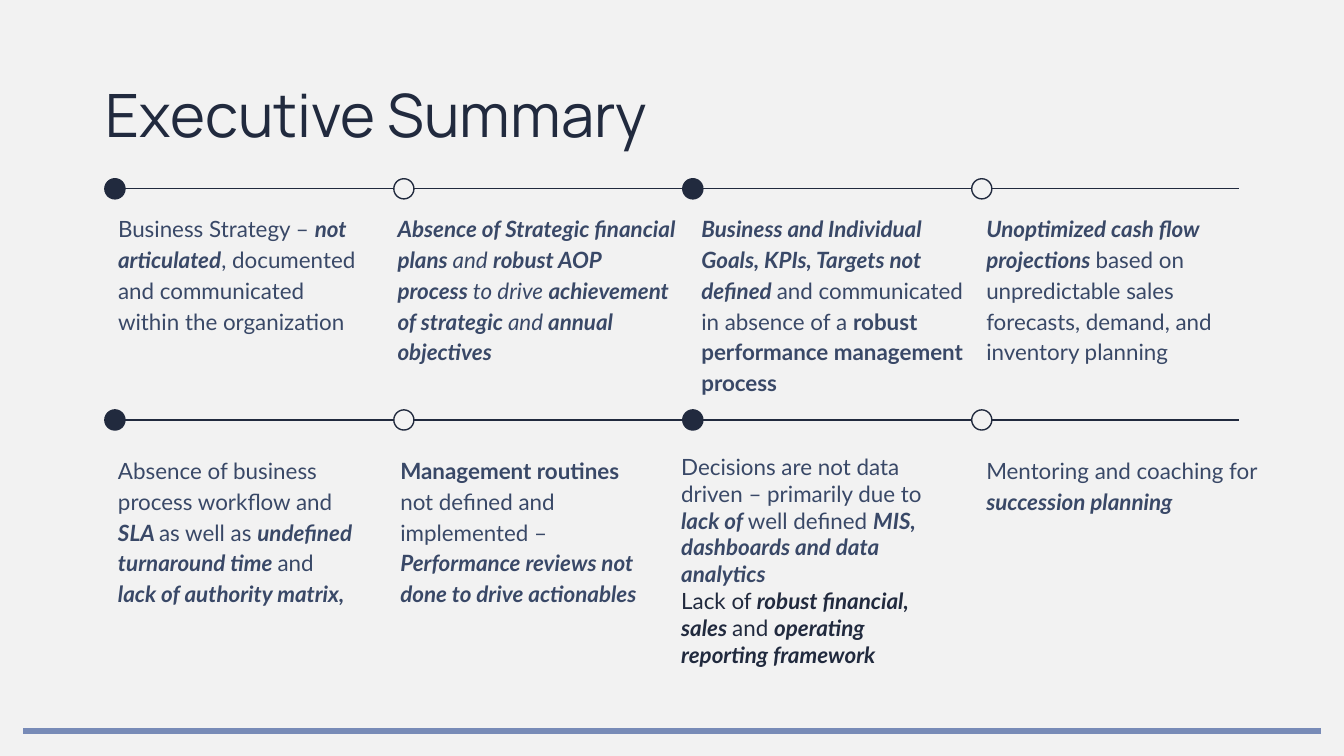
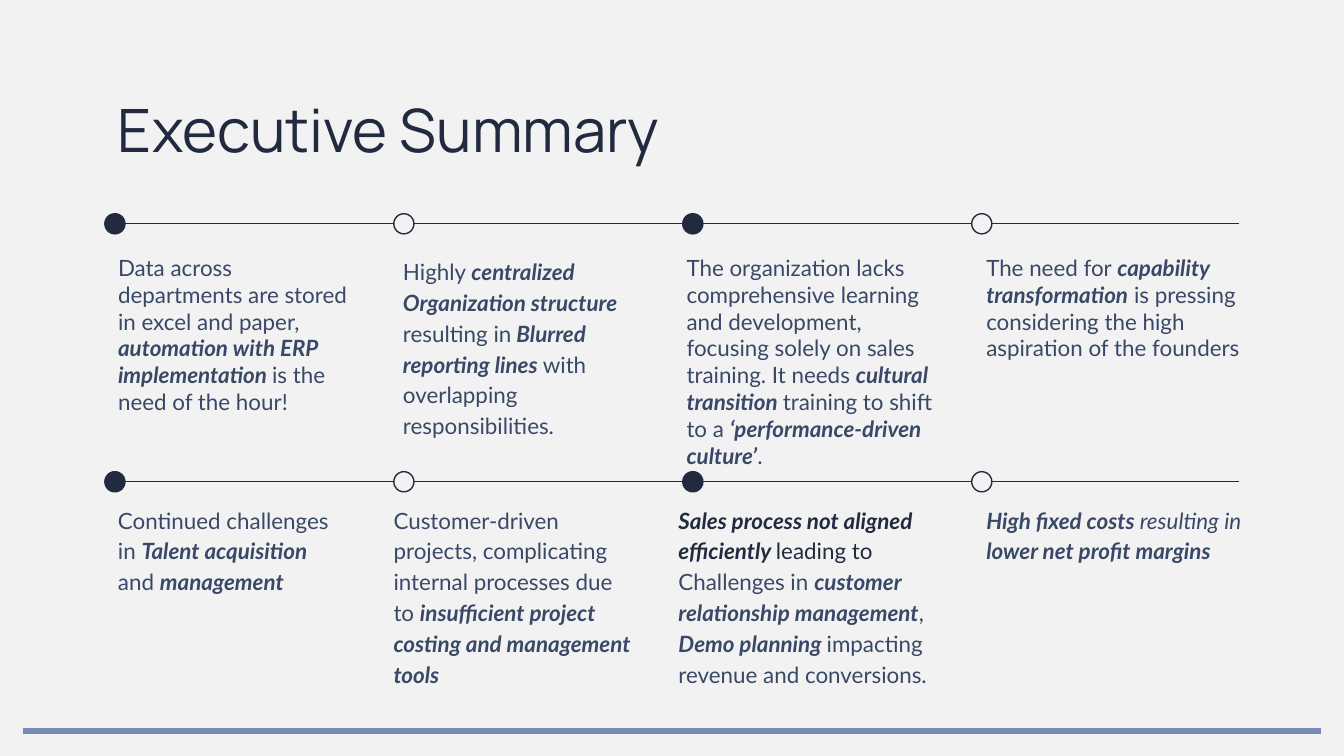
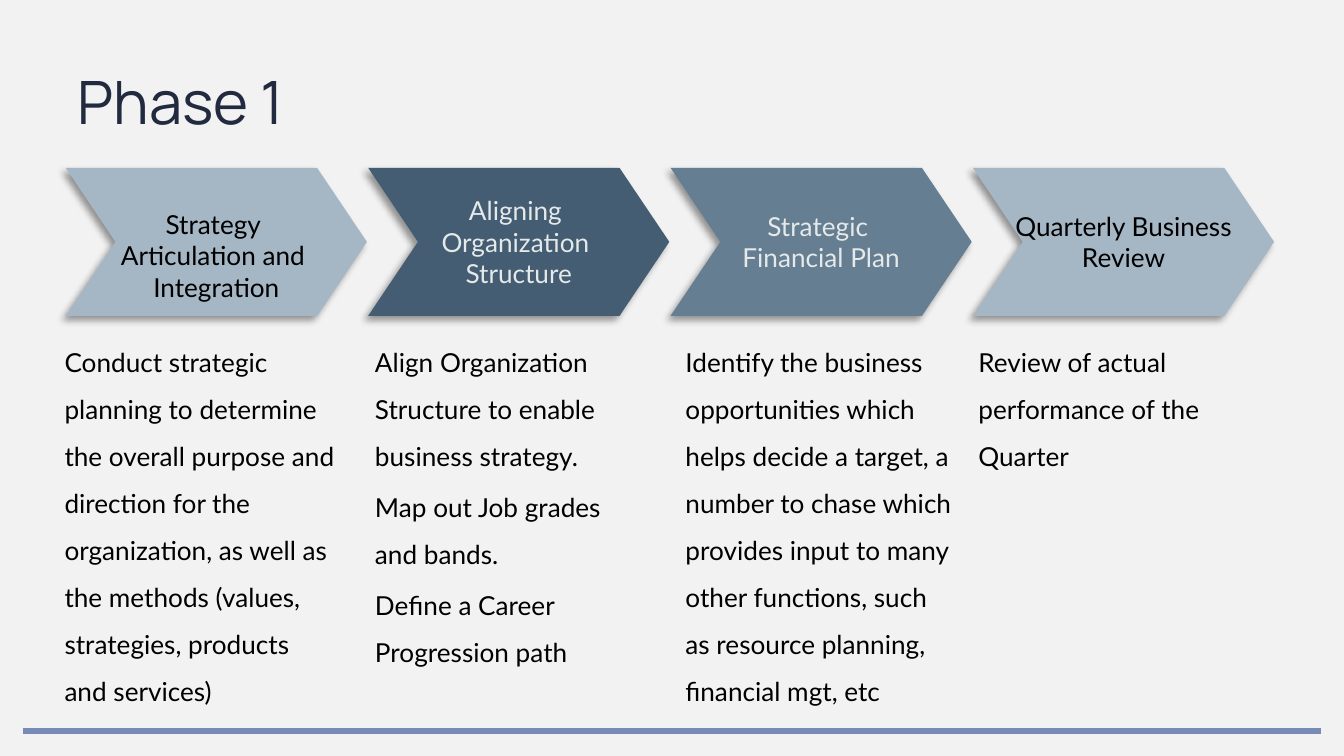
from lxml import etree
from pptx import Presentation
from pptx.dml.color import RGBColor
from pptx.enum.shapes import MSO_CONNECTOR as LINE, MSO_SHAPE as SHAPE
from pptx.enum.text import MSO_ANCHOR as ANCHOR, PP_ALIGN as ALIGN
from pptx.oxml.ns import qn
from pptx.util import Inches, Pt

NAVY, SLATE, BLACK, PALE = "212A3E", "394867", "000000", "E5E9E9"
BACKGROUND, FOOTER = "F2F2F2", "788BB7"

# Span formats
TITLE = {"name": "Manrope", "size": Pt(32), "color": NAVY}
PLAIN = {"name": "Lato", "size": Pt(12), "color": SLATE, "bold": False, "italic": False}
BOLD = {**PLAIN, "bold": True}
ITALIC = {**PLAIN, "italic": True}
BOTH = {**BOLD, "italic": True}
DARK = {**PLAIN, "color": NAVY}
DARK_BOTH = {**BOTH, "color": NAVY}
LARGE = {"name": "Lato", "size": Pt(14), "color": BLACK}
LARGE_PALE = {**LARGE, "color": PALE}

# Paragraph formats
SINGLE = {"line_spacing": 1.0}
LOOSE = {"line_spacing": 1.15}
CENTRED = {"alignment": ALIGN.CENTER}
COLUMN = {"line_spacing": 1.5, "space_after": Pt(2.1)}

# Timeline and chevron grids
DOT_LEFT, DOT_PITCH, DOT_SIZE, LINE_END = 0.78, 2.15, 0.15, 9.22
CHEVRON_LEFT, CHEVRON_PITCH, CHEVRON_TOP = 0.49, 2.25, 1.25
CHEVRON_WIDTH, CHEVRON_HEIGHT, CHEVRON_NOTCH = 2.24, 1.1, 0.37

# Each row: dot top, text top, then cells of left, width, paragraph format, paragraphs
FINDINGS = [
    (1.33, 1.47, [
        (0.78, 2.01, LOOSE, [[
            ("Business Strategy – ", PLAIN), ("not articulated", BOTH),
            (", documented and communicated within the organization", PLAIN)]]),
        (2.86, 2.27, LOOSE, [[
            ("Absence of Strategic financial plans ", BOTH), ("and ", ITALIC),
            ("robust AOP process ", BOTH), ("to drive ", ITALIC),
            ("achievement of strategic ", BOTH), ("and", ITALIC),
            (" annual objectives", BOTH)]]),
        (5.12, 2.16, LOOSE, [[
            ("Business and Individual Goals, KPIs, Targets not defined ", BOTH),
            ("and communicated in absence of a ", PLAIN),
            ("robust performance management process", BOLD)]]),
        (7.24, 2.26, LOOSE, [[
            ("Unoptimized cash flow projections ", BOTH),
            ("based on unpredictable sales forecasts, demand, and inventory planning", PLAIN)]]),
    ]),
    (3.05, 3.27, [
        (0.78, 1.97, LOOSE, [[
            ("Absence of business process workflow and ", PLAIN), ("SLA ", BOTH),
            ("as well as ", PLAIN), ("undefined turnaround time ", BOTH),
            ("and", PLAIN), (" lack of authority matrix,", BOTH)]]),
        (2.88, 1.98, LOOSE, [[
            ("Management routines ", BOLD), ("not defined and implemented – ", PLAIN),
            ("Performance reviews not done to drive actionables", BOTH)]]),
        (4.97, 2.15, SINGLE, [
            [("Decisions are not data driven – primarily due to ", PLAIN),
             ("lack of ", BOTH), ("well defined ", PLAIN),
             ("MIS, dashboards and data analytics", BOTH)],
            [("Lack of", DARK), (" robust financial, sales ", DARK_BOTH),
             ("and ", DARK), ("operating reporting framework", DARK_BOTH)]]),
        (7.24, 2.26, LOOSE, [[
            ("Mentoring and coaching for ", PLAIN), ("succession planning", BOTH)]]),
    ]),
]

MORE_FINDINGS = [
    (1.59, 1.79, [
        (0.78, 1.98, SINGLE, [[
            ("Data across departments are stored in excel and paper, ", PLAIN),
            ("automation with ERP implementation ", BOTH),
            ("is the need of the hour!", PLAIN)]]),
        (2.9, 1.98, LOOSE, [[
            ("Highly ", PLAIN), ("centralized Organization structure ", BOTH),
            ("resulting in", PLAIN), (" Blurred reporting lines ", BOTH),
            ("with overlapping responsibilities.", PLAIN)]]),
        (5.01, 2.09, SINGLE, [[
            ("The organization lacks comprehensive learning and development, "
             "focusing solely on sales training. It needs ", PLAIN),
            ("cultural transition ", BOTH), ("training to shift to a ", PLAIN),
            ("‘performance-driven culture’", BOTH), (".", PLAIN)]]),
        (7.24, 2.26, SINGLE, [[
            ("The need for ", PLAIN), ("capability transformation", BOTH),
            (" is pressing considering the high aspiration of the founders", PLAIN)]]),
    ]),
    (3.51, 3.64, [
        (0.78, 1.9, LOOSE, [[
            ("Continued challenges in ", PLAIN), ("Talent acquisition ", BOTH),
            ("and ", PLAIN), ("management", BOTH)]]),
        (2.83, 1.98, LOOSE, [[
            ("Customer-driven projects, complicating internal processes due to ", PLAIN),
            ("insufficient project costing and management tools", BOTH)]]),
        (4.95, 2.3, LOOSE, [[
            ("Sales process not aligned efficiently ", DARK_BOTH), ("leading to ", DARK),
            ("Challenges in ", PLAIN), ("customer relationship management", BOTH),
            (", ", PLAIN), ("Demo planning ", BOTH),
            ("impacting revenue and conversions.", PLAIN)]]),
        (7.24, 2.36, LOOSE, [[
            ("High fixed costs ", BOTH), ("resulting in ", ITALIC),
            ("lower net profit margins", BOTH)]]),
    ]),
]

# Each step: fill, anchor, span format, heading lines
STEPS = [
    ("A5B7C5", ANCHOR.BOTTOM, LARGE, ["Strategy ", "Articulation and ", "Integration"]),
    ("445D73", ANCHOR.MIDDLE, LARGE_PALE, ["Aligning ", "Organization ", "Structure"]),
    ("667E92", ANCHOR.MIDDLE, LARGE_PALE, ["Strategic ", "Financial Plan"]),
    ("A5B7C5", ANCHOR.MIDDLE, LARGE, ["Quarterly Business Review"]),
]

# Each column: left, width, paragraphs
STEP_NOTES = [
    (0.48, 2.02, ["Conduct strategic planning to determine the overall purpose and direction "
                  "for the organization, as well as the methods (values, strategies, products "
                  "and services)"]),
    (2.79, 2.02, ["Align Organization Structure to enable business strategy.",
                  "Map out Job grades and bands.",
                  "Define a Career Progression path"]),
    (5.1, 2.02, ["Identify the business opportunities which helps decide a target, a number "
                 "to chase which provides input to many other functions, such as resource "
                 "planning, financial mgt, etc"]),
    (7.28, 2.24, ["Review of actual performance of the Quarter"]),
]


def rgb(value):
    return RGBColor.from_string(value)


def fill_text(shape, paragraphs, para_format, inset=0.1, anchor=ANCHOR.TOP):
    frame = shape.text_frame
    frame.word_wrap = True
    frame.vertical_anchor = anchor
    for side in ("left", "top", "right", "bottom"):
        setattr(frame, f"margin_{side}", Inches(inset))
    for index, spans in enumerate(paragraphs):
        para = frame.add_paragraph() if index else frame.paragraphs[0]
        for key, value in para_format.items():
            setattr(para, key, value)
        for text, style in spans:
            span = para.add_run()
            span.text = text
            for key, value in style.items():
                if key == "color":
                    span.font.color.rgb = rgb(value)
                else:
                    setattr(span.font, key, value)


def add_text(page, box, paragraphs, para_format, inset=0.1):
    shape = page.shapes.add_textbox(*map(Inches, box))
    fill_text(shape, paragraphs, para_format, inset)


def add_line(page, left, right, y, color, width):
    line = page.shapes.add_connector(LINE.STRAIGHT, *map(Inches, (left, y, right, y)))
    line.line.color.rgb = rgb(color)
    line.line.width = Pt(width)
    etree.SubElement(line._element.spPr, qn("a:effectLst"))


def add_page(deck, title, box):
    page = deck.slides.add_slide(deck.slide_layouts[6])
    add_line(page, 9.83, 0.17, 5.44, FOOTER, 3.5)
    add_text(page, box, [[(title, TITLE)]], SINGLE)
    return page


def add_timeline(page, top, count):
    for index in range(count):
        left = DOT_LEFT + index * DOT_PITCH
        dot = page.shapes.add_shape(
            SHAPE.OVAL, *map(Inches, (left, top, DOT_SIZE, DOT_SIZE)))
        dot.shadow.inherit = False
        dot.line.color.rgb = rgb(NAVY)
        dot.line.width = Pt(0.75)
        if index % 2:
            dot.fill.background()
        else:
            dot.fill.solid()
            dot.fill.fore_color.rgb = rgb(NAVY)
        end = LINE_END if index == count - 1 else left + DOT_PITCH
        add_line(page, left + DOT_SIZE, end, top + DOT_SIZE / 2, NAVY, 0.75)


def add_summary(deck, title_box, rows):
    page = add_page(deck, "Executive Summary", title_box)
    for dot_top, text_top, cells in rows:
        add_timeline(page, dot_top, len(cells))
        for left, width, para_format, paragraphs in cells:
            add_text(page, (left, text_top, width, 1), paragraphs, para_format)


def add_shadow(shape):
    shape.shadow.inherit = False
    effects = shape._element.spPr.find(qn("a:effectLst"))
    shadow = etree.SubElement(effects, qn("a:outerShdw"), blurRad=str(Pt(4)),
                              dist=str(Pt(3)), dir="8100000", algn="tr", rotWithShape="0")
    color = etree.SubElement(shadow, qn("a:srgbClr"), val=BLACK)
    etree.SubElement(color, qn("a:alpha"), val="40000")


def add_chevron(page, left, top, fill, anchor, style, lines):
    right, bottom = left + CHEVRON_WIDTH, top + CHEVRON_HEIGHT
    middle, shoulder = top + CHEVRON_HEIGHT / 2, right - CHEVRON_NOTCH
    outline = [(left + CHEVRON_NOTCH, middle), (left, bottom), (shoulder, bottom),
               (right, middle), (shoulder, top)]
    builder = page.shapes.build_freeform(Inches(left), Inches(top))
    builder.add_line_segments([(Inches(x), Inches(y)) for x, y in outline], close=True)
    chevron = builder.convert_to_shape()
    chevron.fill.solid()
    chevron.fill.fore_color.rgb = rgb(fill)
    chevron.line.fill.background()
    add_shadow(chevron)
    fill_text(chevron, [[(line, style)] for line in lines], CENTRED, anchor=anchor)


def add_phase(deck):
    page = add_page(deck, "Phase 1", (0.48, 0.38, 8.43, 0.63))
    for index, step in enumerate(STEPS):
        add_chevron(page, CHEVRON_LEFT + index * CHEVRON_PITCH, CHEVRON_TOP, *step)
    for left, width, notes in STEP_NOTES:
        add_text(page, (left, 2.46, width, 1.42), [[(note, LARGE)] for note in notes],
                 COLUMN, inset=0)


def main():
    deck = Presentation()
    # Widescreen, 16 to 9
    deck.slide_width, deck.slide_height = Inches(10), Inches(10 * 9 / 16)
    background = deck.slide_master.background.fill
    background.solid()
    background.fore_color.rgb = rgb(BACKGROUND)
    add_summary(deck, (0.69, 0.48, 8.44, 0.7), FINDINGS)
    add_summary(deck, (0.78, 0.59, 8.44, 0.7), MORE_FINDINGS)
    add_phase(deck)
    deck.save("out.pptx")


if __name__ == "__main__":
    main()
